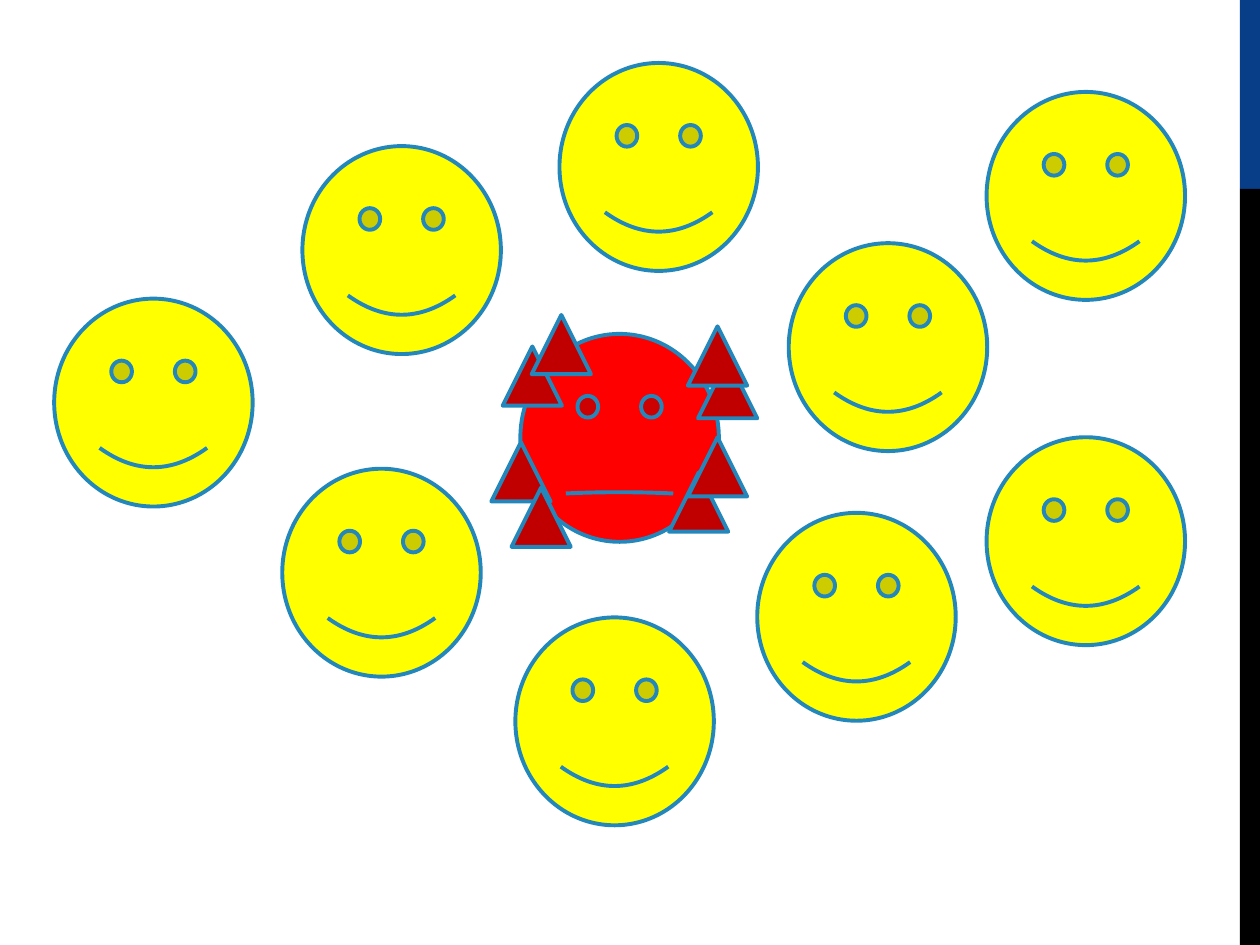
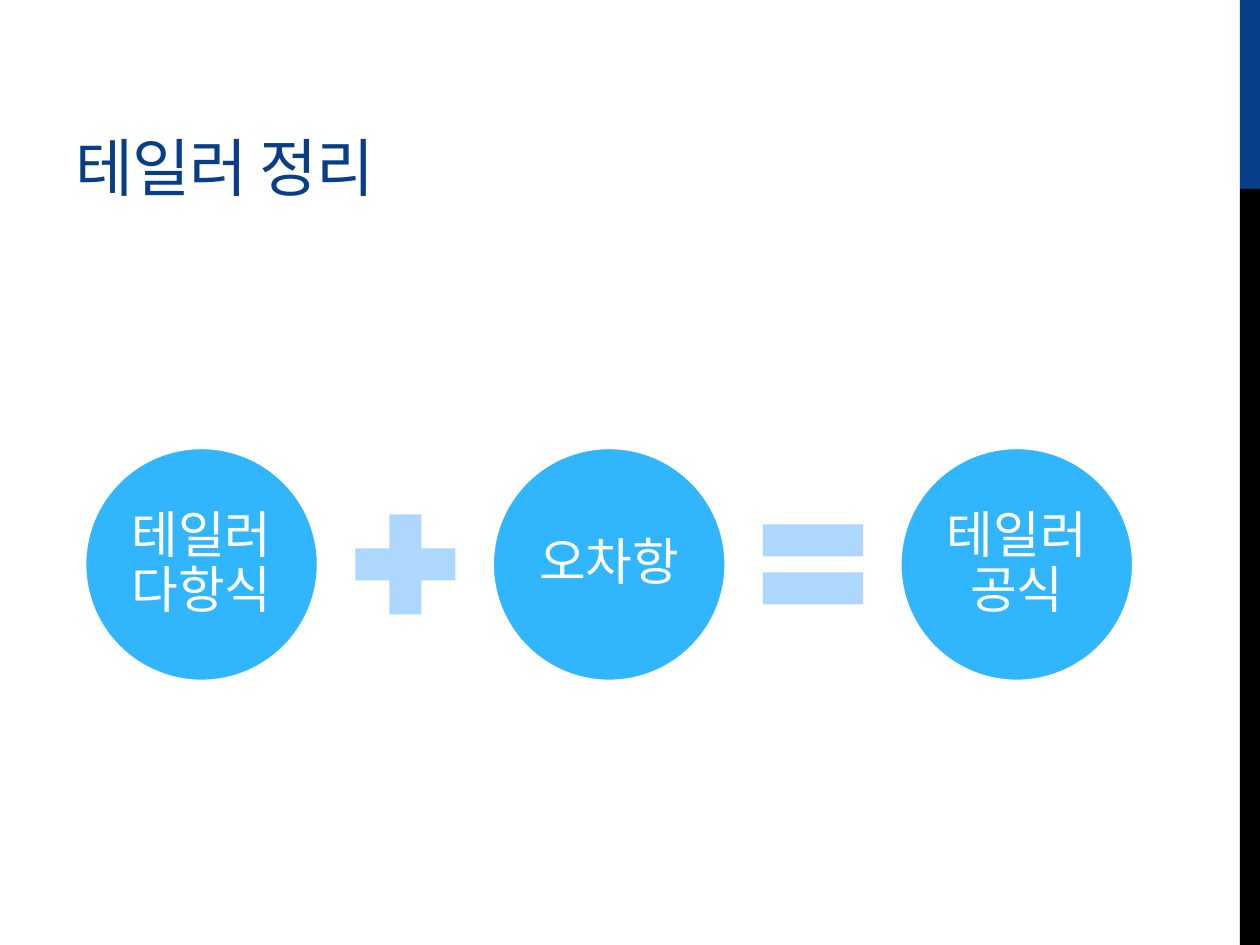
from dataclasses import dataclass

from pptx import Presentation
from pptx.dml.color import RGBColor as Rgb
from pptx.enum.shapes import MSO_SHAPE as Shape
from pptx.enum.text import MSO_ANCHOR as Anchor, MSO_AUTO_SIZE as Fit, PP_ALIGN as Align
from pptx.util import Inches, Pt

COLUMNS, ROWS = 100, 75


@dataclass(frozen=True)
class Theme:
    """Colours, fonts and type sizes of the presentation."""
    navy: str = "073E87"
    black: str = "000000"
    white: str = "FFFFFF"
    outline: str = "2487BB"
    happy: str = "FFFF00"
    angry: str = "FF0000"
    spike: str = "C00000"
    term: str = "31B6FD"
    operator: str = "AED7FE"
    title_font: str = "Montserrat"
    body_font: str = "Arial"
    title_size: float = 36
    term_size: float = 29
    line_width: float = 2.25
    tracking: int = -60


class Deck:
    """Holds the theme and the current slide, measured in grid columns and rows."""

    def __init__(self, theme):
        """Open an empty 4:3 presentation."""
        self.theme = theme
        self.presentation = Presentation()
        self.presentation.slide_width = Inches(10)
        self.presentation.slide_height = Inches(7.5)
        self.slide = None

    def place(self, column, row, width, height):
        """Turn grid units into slide lengths."""
        across = self.presentation.slide_width / COLUMNS
        down = self.presentation.slide_height / ROWS
        return [round(length) for length in
                (column * across, row * down, width * across, height * down)]

    def apply(self, target, formats):
        """Set every attribute named in the format values."""
        for name, value in formats.items():
            setattr(target, name, value)

    def new_slide(self, layout):
        """Add a slide with the side band."""
        self.slide = self.presentation.slides.add_slide(
            self.presentation.slide_layouts.get_by_name(layout))
        self.figure(Shape.RECTANGLE, (98.4, 0, 1.6, 15), self.theme.navy)
        self.figure(Shape.RECTANGLE, (98.4, 15, 1.6, 60), self.theme.black)

    def figure(self, kind, area, fill, outline=None):
        """Draw a preset shape with a flat fill and an optional outline."""
        drawn = self.slide.shapes.add_shape(kind, *self.place(*area))
        drawn.shadow.inherit = False
        drawn.fill.solid()
        drawn.fill.fore_color.rgb = Rgb.from_string(fill)
        if outline:
            drawn.line.color.rgb = Rgb.from_string(outline)
            drawn.line.width = Pt(self.theme.line_width)
        else:
            drawn.line.fill.background()
        return drawn

    def label(self, frame, words, color, frame_formats, paragraph_formats, font_formats):
        """Fill a text frame with one formatted run and return the run."""
        self.apply(frame, {"word_wrap": True, "auto_size": Fit.NONE, **frame_formats})
        paragraph = frame.paragraphs[0]
        self.apply(paragraph, paragraph_formats)
        run = paragraph.add_run()
        run.text = words
        self.apply(run.font, font_formats)
        run.font.color.rgb = Rgb.from_string(color)
        return run

    def title(self, words, area):
        """Move and format the title placeholder."""
        heading = self.slide.shapes.title
        self.apply(heading, dict(zip(("left", "top", "width", "height"), self.place(*area))))
        run = self.label(
            heading.text_frame, words, self.theme.navy,
            {"vertical_anchor": Anchor.BOTTOM}, {"alignment": Align.LEFT},
            {"name": self.theme.title_font, "size": Pt(self.theme.title_size)})
        run._r.get_or_add_rPr().set("spc", str(self.theme.tracking))

    def face(self, column, row, fill, smile=None):
        """Draw a face, with its mouth bent by the smile value."""
        drawn = self.figure(Shape.SMILEY_FACE, (column, row, 15.75, 16.5),
                            fill, self.theme.outline)
        if smile is not None:
            drawn.adjustments[0] = smile

    def spike(self, column, row):
        """Draw one spike of the angry face."""
        self.figure(Shape.ISOSCELES_TRIANGLE, (column, row, 4.7, 4.7),
                    self.theme.spike, self.theme.outline)

    def term(self, words, center, middle, size):
        """Draw a labelled circle of the equation."""
        circle = self.figure(Shape.OVAL, (center - size / 2, middle - size / 2, size, size),
                             self.theme.term, self.theme.white)
        margins = dict.fromkeys(
            ("margin_left", "margin_top", "margin_right", "margin_bottom"), Inches(0.04))
        self.label(circle.text_frame, words, self.theme.white,
                   {"vertical_anchor": Anchor.MIDDLE, **margins},
                   {"alignment": Align.CENTER, "line_spacing": 0.9},
                   {"name": self.theme.body_font, "size": Pt(self.theme.term_size)})

    def operator(self, kind, center, middle, size):
        """Draw an operator sign of the equation."""
        self.figure(kind, (center - size / 2, middle - size / 2, size, size),
                    self.theme.operator)


def build_faces(deck):
    """Build the crowd of happy faces around the angry one."""
    happy_places = [(62.6, 19.3), (60.1, 40.7), (22.4, 37.2), (24, 11.6), (40.9, 49),
                    (44.4, 5), (78.3, 7.3), (78.3, 34.7), (4.3, 23.7)]
    spike_places = [(53.1, 37.5), (54.6, 34.7), (39.9, 27.5), (42.2, 25),
                    (39, 35.1), (40.6, 38.7), (55.4, 28.5), (54.6, 25.9)]
    deck.new_slide("Blank")
    deck.face(41.3, 26.5, deck.theme.angry, smile=-0.003)
    for column, row in happy_places:
        deck.face(column, row, deck.theme.happy)
    for column, row in spike_places:
        deck.spike(column, row)


def build_equation(deck):
    """Build the theorem as a sum of two terms."""
    terms = ["테일러 다항식", "오차항", "테일러 공식"]
    operators = [Shape.MATH_PLUS, Shape.MATH_EQUAL]
    first, pitch, middle = 16, 32.35, 44.8
    deck.new_slide("Title Only")
    deck.title("테일러 정리", (5, 1.7, 63.3, 15))
    for index, words in enumerate(terms):
        deck.term(words, first + index * pitch, middle, 18.6)
    for index, kind in enumerate(operators):
        deck.operator(kind, first + (index + 0.5) * pitch, middle, 10.8)


def main():
    """Build both slides and save them."""
    deck = Deck(Theme())
    build_faces(deck)
    build_equation(deck)
    deck.presentation.save("out.pptx")


if __name__ == "__main__":
    main()
